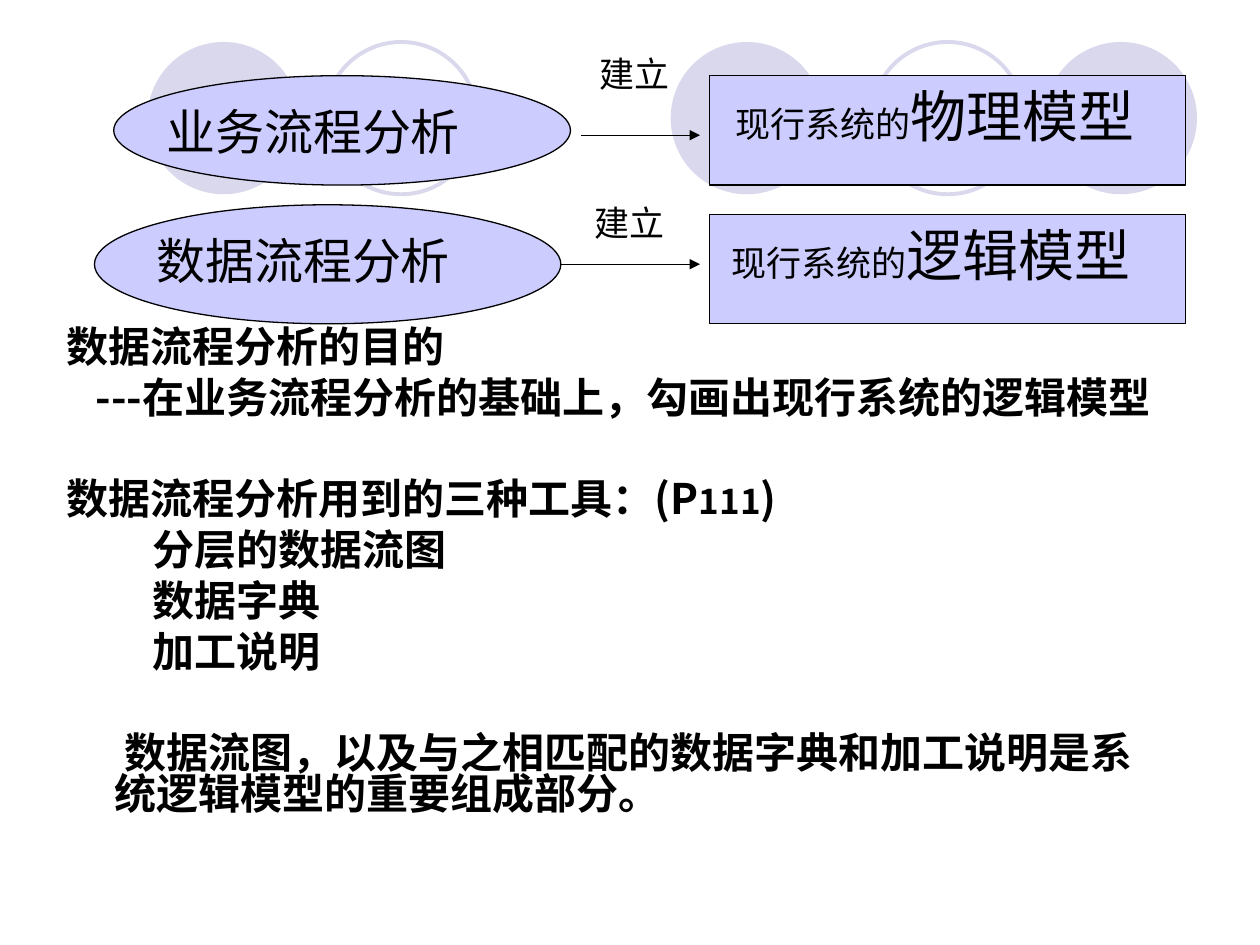
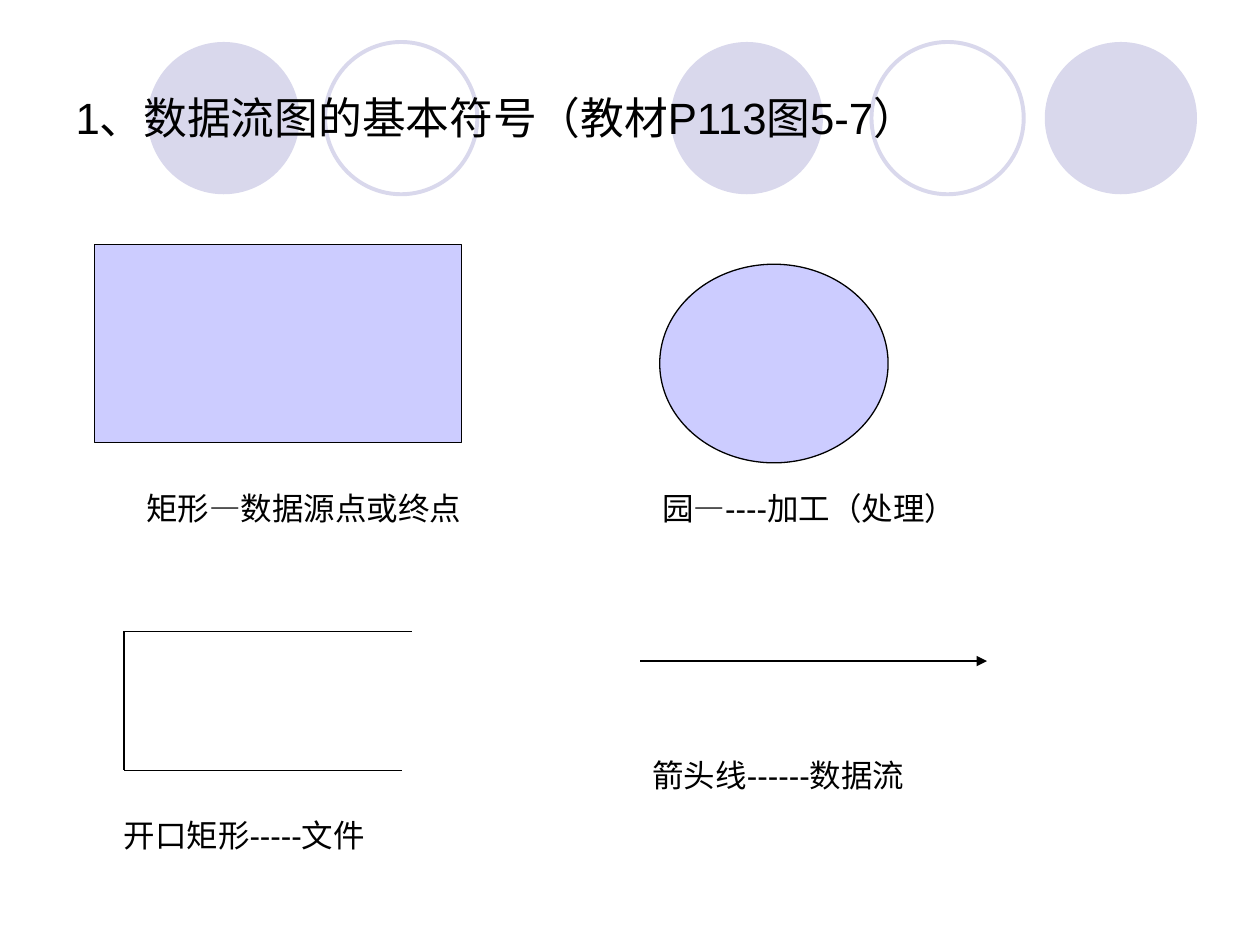
from lxml import etree
from pptx import Presentation
from pptx import util as u
from pptx.dml.color import RGBColor
from pptx.enum import shapes, text
from pptx.oxml import ns

BLACK = RGBColor(0x00, 0x00, 0x00)
LAVENDER = RGBColor(0xCC, 0xCC, 0xFF)
PALE = RGBColor(0xD9, 0xD8, 0xEC)
LATIN_FONT = "Arial"
CHINESE_FONT = "Noto Sans CJK SC"
OVAL = shapes.MSO_SHAPE.OVAL
RECTANGLE = shapes.MSO_SHAPE.RECTANGLE
TITLE_ONLY, TITLE_AND_BODY = 5, 1


def write_text(paragraph, content, size=18, bold=False, font=LATIN_FONT, align=text.PP_ALIGN.LEFT):
    paragraph.alignment = align
    run = paragraph.add_run()
    run.text = content
    run.font.size = u.Pt(size)
    run.font.bold = bold
    run.font.name = font
    run.font.color.rgb = BLACK
    properties = run.font._element
    east_asian = etree.Element(ns.qn("a:ea"), typeface=CHINESE_FONT)
    properties.find(ns.qn("a:latin")).addnext(east_asian)


class Deck:
    def __init__(self):
        self.presentation = Presentation()
        self.presentation.slide_width = u.Pt(720)
        self.presentation.slide_height = u.Pt(540)
        self.slide = None

    def add_slide(self, layout):
        self.slide = self.presentation.slides.add_slide(self.presentation.slide_layouts[layout])

    def place(self, shape, left, top, width, height):
        shape.left, shape.top = u.Pt(left), u.Pt(top)
        shape.width, shape.height = u.Pt(width), u.Pt(height)

    def shape(self, kind, left, top, width, height, fill=LAVENDER, line=BLACK, weight=0.75):
        shape = self.slide.shapes.add_shape(kind, *map(u.Pt, (left, top, width, height)))
        shape.shadow.inherit = False
        if fill is None:
            shape.fill.background()
        else:
            shape.fill.solid()
            shape.fill.fore_color.rgb = fill
        if line is None:
            shape.line.fill.background()
        else:
            shape.line.color.rgb = line
            shape.line.width = u.Pt(weight)
        return shape

    def master_circles(self):
        master_tree = self.presentation.slide_master.shapes.element
        for left, filled in ((498, False), (185.75, False), (383.25, True), (597, True), (84.25, True)):
            circle = self.shape(OVAL, left, 24, 87, 87, fill=PALE if filled else None,
                                line=None if filled else PALE, weight=2.25)
            master_tree.insert(2, circle.element)

    def line(self, begin_x, begin_y, end_x, end_y, arrow=False):
        points = map(u.Pt, (begin_x, begin_y, end_x, end_y))
        connector = self.slide.shapes.add_connector(shapes.MSO_CONNECTOR.STRAIGHT, *points)
        connector.line.color.rgb = BLACK
        connector.line.width = u.Pt(0.75)
        if arrow:
            etree.SubElement(connector.line._get_or_add_ln(), ns.qn("a:tailEnd"), type="triangle")
        etree.SubElement(connector.element.spPr, ns.qn("a:effectLst"))

    def label(self, left, top, width, height, *runs, align=text.PP_ALIGN.LEFT):
        box = self.slide.shapes.add_textbox(*map(u.Pt, (left, top, width, height)))
        box.text_frame.word_wrap = True
        for content, size in runs:
            write_text(box.text_frame.paragraphs[0], content, size=size, align=align)

    def title(self, content):
        title = self.slide.shapes.title
        self.place(title, 36, 21.6, 648, 90)
        title.text_frame.auto_size = text.MSO_AUTO_SIZE.NONE
        title.text_frame.vertical_anchor = text.MSO_ANCHOR.MIDDLE
        write_text(title.text_frame.paragraphs[0], content, size=25)

    def body(self, left, top, width, height, items):
        body = self.slide.placeholders[1]
        self.place(body, left, top, width, height)
        frame = body.text_frame
        frame.auto_size = text.MSO_AUTO_SIZE.NONE
        for index, (runs, start, space_before) in enumerate(items):
            paragraph = frame.add_paragraph() if index else frame.paragraphs[0]
            properties = paragraph._p.get_or_add_pPr()
            properties.set("marL", str(u.Pt(27)))
            properties.set("indent", str(u.Pt(start - 27)))
            etree.SubElement(properties, ns.qn("a:buNone"))
            paragraph.line_spacing = 0.8
            paragraph.space_before = u.Pt(space_before)
            for content, size in runs:
                write_text(paragraph, content, size=size, bold=True, font=CHINESE_FONT)


def build_analysis_slide(deck):
    deck.add_slide(TITLE_AND_BODY)
    deck.master_circles()
    title = deck.slide.shapes.title.element
    title.getparent().remove(title)
    near, far = 6, 35
    deck.body(31, 185, 642, 327, [
        ([("数据流程分析的目的", 24)], 0, 0),
        ([("---在业务流程分析的基础上，勾画出现行系统的逻辑模型", 24)], 16.5, near),
        ([("数据流程分析用到的三种工具：(P", 24), ("111", 20), (")", 24)], 0, far),
        *[([(tool, 24)], 49, near) for tool in ("分层的数据流图", "数据字典", "加工说明")],
        ([("数据流图，以及与之相匹配的数据字典和加工说明是系统逻辑模型的重要组成部分。", 24)], 33, far),
    ])

    deck.shape(OVAL, 65, 43.25, 261, 62.5)
    deck.line(332, 77.25, 400, 77.25, arrow=True)
    deck.shape(OVAL, 54, 117, 266.5, 68)
    deck.line(320.5, 151, 400, 151, arrow=True)
    for top, left, model in ((43.25, 413, "物理模型"), (122.5, 411, "逻辑模型")):
        deck.shape(RECTANGLE, 405.5, top, 272, 62.5)
        deck.label(left, top, 266, 46, ("现行系统的", 20), (model, 32))
    deck.label(88, 54.5, 210, 41, ("业务流程分析", 28))
    deck.label(82.25, 128, 215, 41, ("数据流程分析", 28))
    for top, width in ((26.25, 73.5), (111.5, 68)):
        deck.label(326, top, width, 32, ("建立", 20), align=text.PP_ALIGN.CENTER)


def build_symbols_slide(deck):
    deck.add_slide(TITLE_ONLY)
    deck.title("1、数据流图的基本符号（教材P113图5-7）")
    deck.shape(OVAL, 377, 151, 130.5, 113.5)
    deck.shape(RECTANGLE, 54, 139.75, 209.75, 113.25)

    left, top, bottom = 70.9, 360.75, 440.15
    deck.line(left, top, 235.25, top)
    deck.line(left, top, left, bottom)
    deck.line(left, bottom, 229.75, bottom)
    deck.line(366, 377.75, 564, 377.75, arrow=True)

    for left, top, width, caption in (
        (76.5, 276, 215, "矩形—数据源点或终点"),
        (371.25, 276, 193, "园—----加工（处理）"),
        (63.5, 463, 178, "开口矩形-----文件"),
        (365.75, 428.75, 204, "箭头线------数据流"),
    ):
        deck.label(left, top, width, 29, (caption, 18))


def main():
    deck = Deck()
    build_analysis_slide(deck)
    build_symbols_slide(deck)
    deck.presentation.save("out.pptx")


if __name__ == "__main__":
    main()
